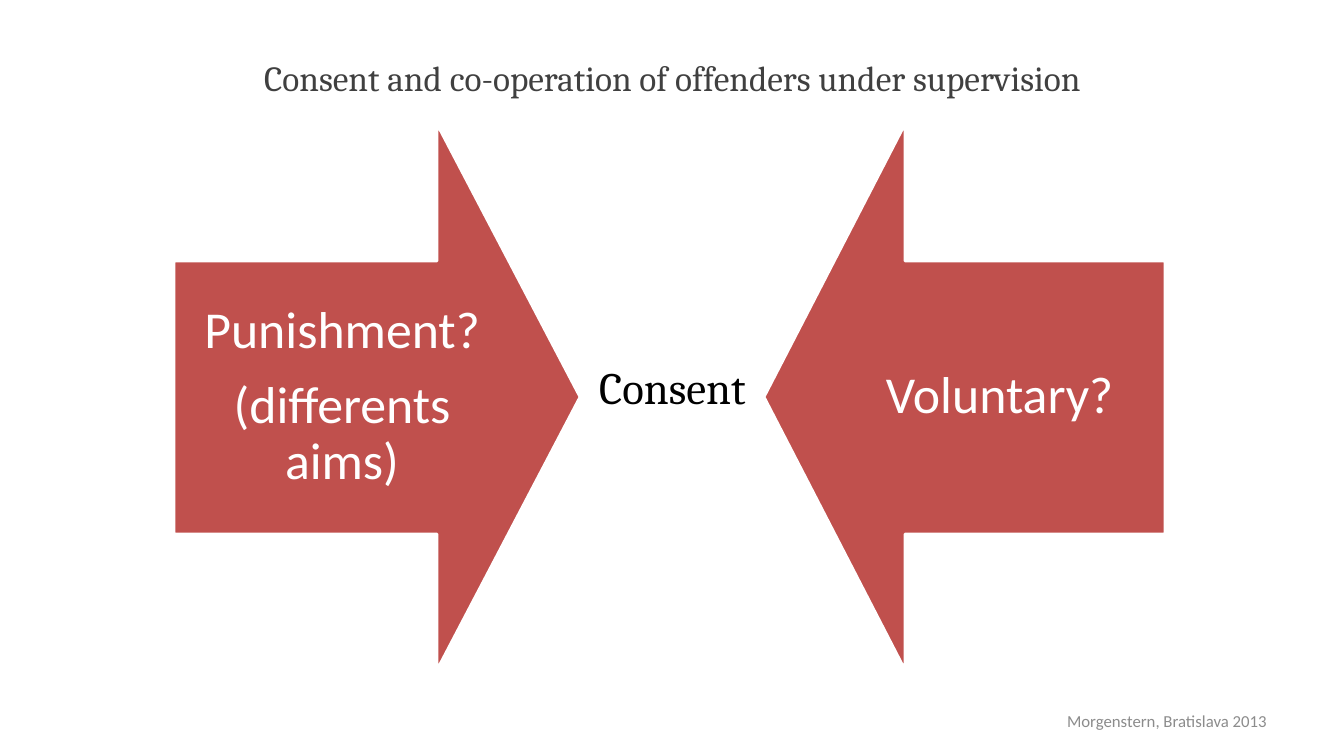
from dataclasses import dataclass

from pptx import Presentation
from pptx.dml.color import RGBColor
from pptx.enum.text import MSO_ANCHOR, MSO_AUTO_SIZE, PP_ALIGN
from pptx.shapes.base import BaseShape
from pptx.text.text import TextFrame
from pptx.util import Pt

EMU_PER_PIXEL = 914400 / 100.8
COLORS = {
    "arrow": "C0504D",
    "white": "FFFFFF",
    "title": "404040",
    "black": "000000",
    "footer": "8C8C8C",
}
ARROW_TOP, BAND_TOP, ARROW_MIDDLE, BAND_BOTTOM, ARROW_BOTTOM = 124, 261, 397, 534, 670
TAIL_INSET, TIP_INSET, BAND_INSET = 29, 99, 165


@dataclass(frozen=True)
class TextStyle:
    size: float
    font: str
    color: str
    align: PP_ALIGN
    line_spacing: float = 1.0
    space_after: float = 0


@dataclass(frozen=True)
class Arrow:
    tail: int
    neck: int
    tip: int
    lines: tuple[str, ...]


@dataclass(frozen=True)
class Label:
    text: str
    left: int
    top: int
    width: int
    height: int
    style: TextStyle
    anchor: MSO_ANCHOR


TITLE = Label(
    "Consent and co-operation of offenders under supervision", 219, 30, 907, 94,
    TextStyle(25.2, "Cambria", "title", PP_ALIGN.CENTER), MSO_ANCHOR.MIDDLE,
)
LABELS = (
    Label("Consent", 580, 355, 185, 64,
          TextStyle(32, "Cambria", "black", PP_ALIGN.CENTER), MSO_ANCHOR.TOP),
    Label("Morgenstern, Bratislava 2013", 964, 701, 313, 40,
          TextStyle(12, "Calibri", "footer", PP_ALIGN.RIGHT), MSO_ANCHOR.MIDDLE),
)
ARROW_STYLE = TextStyle(37, "Calibri", "white", PP_ALIGN.CENTER, 0.9, 14)
ARROWS = (
    Arrow(174, 437, 580, ("Punishment?", "(differents aims)")),
    Arrow(1165, 905, 764, ("Voluntary?",)),
)


def emu(pixels: int) -> int:
    return round(pixels * EMU_PER_PIXEL)


def color(name: str) -> RGBColor:
    return RGBColor.from_string(COLORS[name])


def write(frame: TextFrame, lines: tuple[str, ...], style: TextStyle,
          anchor: MSO_ANCHOR) -> None:
    frame.word_wrap = True
    frame.auto_size = MSO_AUTO_SIZE.NONE
    frame.vertical_anchor = anchor
    for index, line in enumerate(lines):
        paragraph = frame.add_paragraph() if index else frame.paragraphs[0]
        paragraph.alignment = style.align
        paragraph.line_spacing = style.line_spacing
        paragraph.space_before = Pt(0)
        paragraph.space_after = Pt(style.space_after)
        run = paragraph.add_run()
        run.text = line
        run.font.size = Pt(style.size)
        run.font.name = style.font
        run.font.color.rgb = color(style.color)


def place_label(shape: BaseShape, label: Label) -> None:
    shape.left, shape.top = emu(label.left), emu(label.top)
    shape.width, shape.height = emu(label.width), emu(label.height)
    write(shape.text_frame, (label.text,), label.style, label.anchor)


def draw_arrow(arrow: Arrow) -> None:
    builder = slide.shapes.build_freeform(arrow.neck, ARROW_BOTTOM, EMU_PER_PIXEL)
    builder.add_line_segments((
        (arrow.neck, BAND_BOTTOM),
        (arrow.tail, BAND_BOTTOM),
        (arrow.tail, BAND_TOP),
        (arrow.neck, BAND_TOP),
        (arrow.neck, ARROW_TOP),
        (arrow.tip, ARROW_MIDDLE),
    ), close=True)
    shape = builder.convert_to_shape()
    shape.shadow.inherit = False
    shape.fill.solid()
    shape.fill.fore_color.rgb = color("arrow")
    shape.line.color.rgb = color("white")
    shape.line.width = Pt(2)
    frame = shape.text_frame
    insets = (TAIL_INSET, TIP_INSET)
    left, right = insets if arrow.tail < arrow.tip else reversed(insets)
    frame.margin_left, frame.margin_right = emu(left), emu(right)
    frame.margin_top = frame.margin_bottom = emu(BAND_INSET)
    write(frame, arrow.lines, ARROW_STYLE, MSO_ANCHOR.MIDDLE)


presentation = Presentation()
presentation.slide_width, presentation.slide_height = emu(1344), emu(756)
slide = presentation.slides.add_slide(presentation.slide_layouts.get_by_name("Title Only"))
place_label(slide.shapes.title, TITLE)
for arrow in ARROWS:
    draw_arrow(arrow)
for label in LABELS:
    place_label(slide.shapes.add_textbox(0, 0, 0, 0), label)
presentation.save("out.pptx")
